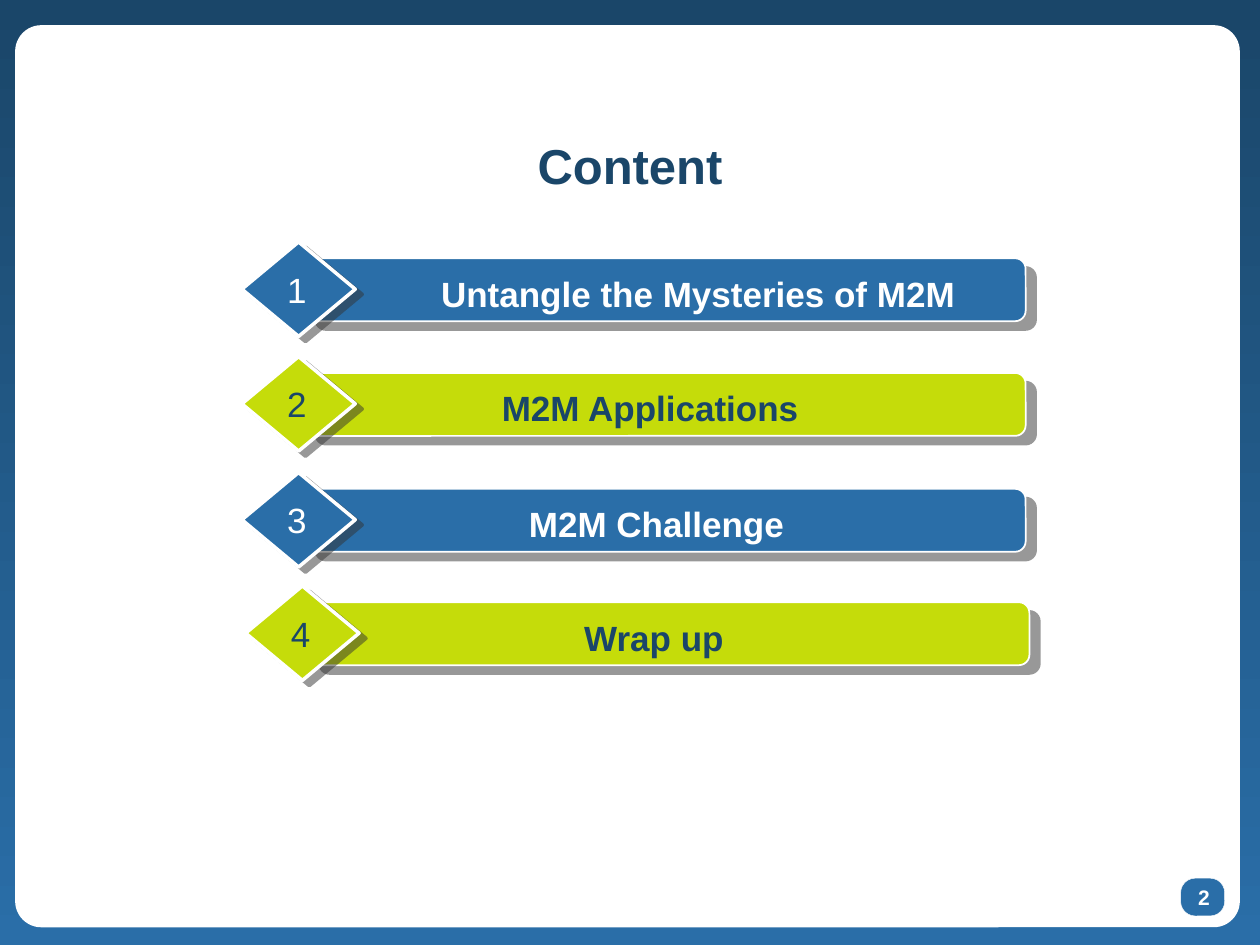
import pptx
import pptx.dml.color
import pptx.enum.shapes
import pptx.enum.text
import pptx.oxml
import pptx.oxml.ns
import pptx.util
from pptx.util import Inches

COLORS = {"navy": "1A4669", "blue": "2A6EA8", "lime": "C5DC0A",
          "white": "FFFFFF", "shadow": "333333"}
SHAPE = pptx.enum.shapes.MSO_SHAPE
ANCHOR = pptx.enum.text.MSO_ANCHOR
CENTER = pptx.enum.text.PP_ALIGN.CENTER


def rgb(name):
    return pptx.dml.color.RGBColor.from_string(COLORS[name])


def write(frame, text, size, color, bold=False, anchor=ANCHOR.TOP, wrap=True):
    frame.text = text
    for key, value in {"word_wrap": wrap, "vertical_anchor": anchor}.items():
        setattr(frame, key, value)
    paragraph = frame.paragraphs[0]
    paragraph.alignment = CENTER
    font = paragraph.runs[0].font
    for key, value in {"name": "Arial", "size": pptx.util.Pt(size), "bold": bold}.items():
        setattr(font, key, value)
    font.color.rgb = rgb(color)


def add_text(shapes, box, text, size, color, **styles):
    label = shapes.add_textbox(*map(Inches, box))
    write(label.text_frame, text, size, color, **styles)


def add_block(shapes, kind, box, fill, line_width=0, corner=None, shadow=None):
    block = shapes.add_shape(kind, *map(Inches, box))
    block.fill.solid()
    block.fill.fore_color.rgb = rgb(fill)
    if line_width:
        block.line.color.rgb = rgb("white")
        block.line.width = pptx.util.Pt(line_width)
    else:
        block.line.fill.background()
    if corner is not None:
        block.adjustments[0] = corner
    block.shadow.inherit = False
    if shadow:
        add_shadow(block, *shadow)


def add_shadow(block, distance, angle):
    effects = block.element.spPr.find(pptx.oxml.ns.qn("a:effectLst"))
    effects.append(pptx.oxml.parse_xml(
        f'<a:outerShdw {pptx.oxml.ns.nsdecls("a")} blurRad="0" '
        f'dist="{pptx.util.Pt(distance)}" dir="{angle * 60000}" algn="ctr" rotWithShape="0">'
        f'<a:srgbClr val="{COLORS["shadow"]}"><a:alpha val="50000"/></a:srgbClr>'
        '</a:outerShdw>'))


def add_background(slide):
    fill = slide.background.fill
    fill.gradient()
    fill.gradient_angle = 270
    for stop, color in zip(fill.gradient_stops, ("navy", "blue")):
        stop.color.rgb = rgb(color)


def add_page_frame(slide, box):
    left, top, width, height = box
    add_block(slide.shapes, SHAPE.ROUNDED_RECTANGLE, box, "white", corner=0.029)
    # Page number badge in the lower right corner
    badge_left, badge_top = left + width - 0.47, top + height - 0.39
    add_block(slide.shapes, SHAPE.ROUNDED_RECTANGLE, (badge_left, badge_top, 0.35, 0.3),
              "blue", line_width=0.25, corner=0.386)
    add_text(slide.shapes, (badge_left - 0.07, badge_top, 0.51, 0.27),
             "2", 12, "white", bold=True)


def add_title(slide, box, text):
    title = slide.shapes.title
    for side, value in zip(("left", "top", "width", "height"), box):
        setattr(title, side, Inches(value))
    write(title.text_frame, text, 28, "navy", bold=True, anchor=ANCHOR.MIDDLE)
    # Bring the title in front of the white page
    title.element.getparent().append(title.element)


def add_item(slide, box, number, text, label_inset, label_width, fill, ink):
    left, top, width, height = box
    shapes = slide.shapes.add_group_shape().shapes
    # Bar, then the diamond over its left end
    add_block(shapes, SHAPE.ROUNDED_RECTANGLE, (left + 0.5, top + 0.13, width - 0.5, 0.5),
              fill, line_width=1, corner=0.167, shadow=(7.8, 40))
    add_block(shapes, SHAPE.DIAMOND, (left, top, 0.9, height),
              fill, line_width=2, shadow=(5, 37))
    # Topic and number
    add_text(shapes, (left + label_inset, top + 0.19, label_width, 0.44),
             text, 20, ink, bold=True)
    add_text(shapes, (left + 0.26, top + 0.16, 0.35, 0.44),
             str(number), 20, ink, wrap=False)


def main():
    deck = pptx.Presentation()
    deck.slide_width, deck.slide_height = Inches(10), Inches(7.5)
    slide = deck.slides.add_slide(deck.slide_layouts[5])
    add_background(slide)
    add_page_frame(slide, (0.12, 0.2, 9.72, 7.16))
    add_title(slide, (0.35, 0.97, 9.3, 0.67), "Content")

    # Agenda: left, top, topic, label inset, label width
    topics = [
        (1.92, 1.92, "Untangle the Mysteries of M2M ", 1.07, 5.18),
        (1.92, 2.83, "M2M Applications", 0.98, 4.52),
        (1.92, 3.75, "M2M Challenge", 1.03, 4.52),
        (1.95, 4.65, "Wrap up", 0.98, 4.52),
    ]
    schemes = [("blue", "white"), ("lime", "navy")]
    for index, (left, top, topic, inset, label_width) in enumerate(topics):
        add_item(slide, (left, top, 6.22, 0.75), index + 1, topic, inset, label_width,
                 *schemes[index % 2])
    deck.save("out.pptx")


if __name__ == "__main__":
    main()
